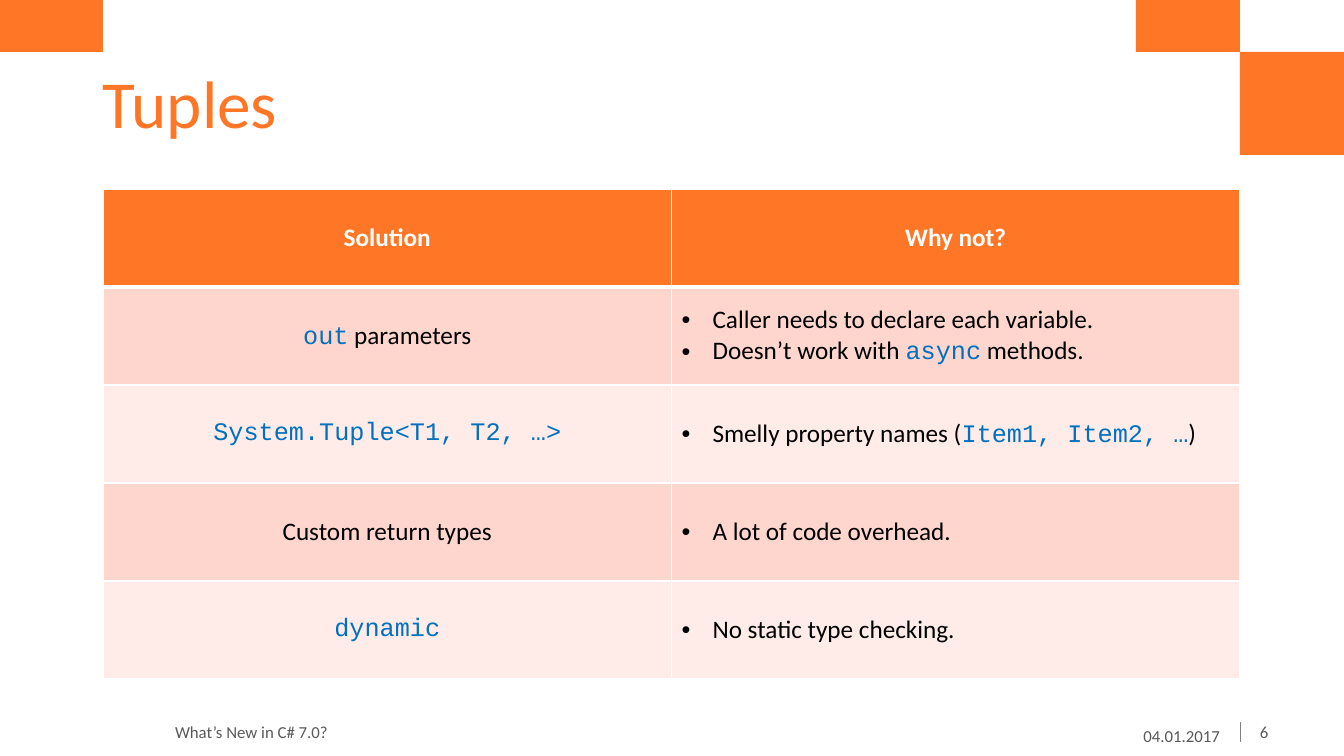
import pptx
import pptx.util
import pptx.dml.color
import pptx.enum.shapes
import pptx.enum.text
import pptx.oxml
import pptx.oxml.ns
import lxml.etree

EMU_PER_PX = 914400 / 100.8
ORANGE = pptx.dml.color.RGBColor(0xFF, 0x77, 0x26)
PEACH = pptx.dml.color.RGBColor(0xFF, 0xD6, 0xCD)
PALE = pptx.dml.color.RGBColor(0xFF, 0xEC, 0xE8)
WHITE = pptx.dml.color.RGBColor(0xFF, 0xFF, 0xFF)
BLACK = pptx.dml.color.RGBColor(0, 0, 0)
BLUE = pptx.dml.color.RGBColor(0x00, 0x70, 0xC0)
GRAY = pptx.dml.color.RGBColor(0x59, 0x59, 0x59)
RULE_GRAY = pptx.dml.color.RGBColor(0x80, 0x80, 0x80)
TEXT_FONT = "Calibri"
CODE_FONT = "Courier New"
ALIGN = pptx.enum.text.PP_ALIGN
MIDDLE = pptx.enum.text.MSO_ANCHOR.MIDDLE

HEADER = ("Solution", "Why not?")
SOLUTIONS = (
    ("`out` parameters",
     ("Caller needs to declare each variable.", "Doesn’t work with `async` methods.")),
    ("`System.Tuple<T1, T2, …>`", ("Smelly property names (`Item1, Item2, …`)",)),
    ("Custom return types", ("A lot of code overhead.",)),
    ("`dynamic`", ("No static type checking.",)),
)


def px(length):
    return pptx.util.Emu(round(length * EMU_PER_PX))


def format_span(span, size, color, font=TEXT_FONT, bold=False):
    span.font.name = font
    span.font.size = pptx.util.Pt(size)
    span.font.bold = bold
    span.font.color.rgb = color


def set_frame(frame, left, top, right, bottom):
    frame.word_wrap = True
    frame.auto_size = pptx.enum.text.MSO_AUTO_SIZE.NONE
    frame.vertical_anchor = MIDDLE
    frame.margin_left, frame.margin_top = px(left), px(top)
    frame.margin_right, frame.margin_bottom = px(right), px(bottom)


def add_block(page, left, top, width, height):
    block = page.shapes.add_shape(pptx.enum.shapes.MSO_SHAPE.RECTANGLE,
                                  px(left), px(top), px(width), px(height))
    block.shadow.inherit = False
    block.fill.solid()
    block.fill.fore_color.rgb = ORANGE
    block.line.fill.background()


def add_rule(page, x, top, bottom):
    rule = page.shapes.add_connector(pptx.enum.shapes.MSO_CONNECTOR.STRAIGHT,
                                     px(x), px(top), px(x), px(bottom))
    rule.line.color.rgb = RULE_GRAY
    rule.line.width = pptx.util.Pt(0.5)
    lxml.etree.SubElement(rule.element.spPr, pptx.oxml.ns.qn("a:effectLst"))


def add_title(page, text):
    title = page.shapes.title
    title.left, title.top, title.width, title.height = px(103), px(52), px(1033), px(103)
    set_frame(title.text_frame, 0, 12, 39, 5)
    title.text_frame.text = text
    para = title.text_frame.paragraphs[0]
    para.alignment = ALIGN.LEFT
    para.line_spacing = 0.9
    format_span(para.runs[0], 48, ORANGE)


def add_footer(page, text, left, top, width, align=ALIGN.LEFT):
    box = page.shapes.add_textbox(px(left), px(top), px(width), px(48))
    right_aligned = align == ALIGN.RIGHT
    set_frame(box.text_frame, 10 if right_aligned else 20, 5, 20 if right_aligned else 10, 5)
    box.text_frame.text = text
    para = box.text_frame.paragraphs[0]
    para.alignment = align
    format_span(para.runs[0], 12, GRAY)


def write_line(para, text, color=BLACK, bold=False):
    for index, part in enumerate(text.split("`")):
        if part:
            span = para.add_run()
            span.text = part
            if index % 2:
                format_span(span, 18, BLUE, CODE_FONT)
            else:
                format_span(span, 18, color, TEXT_FONT, bold)


def add_bullet(para):
    properties = para._p.get_or_add_pPr()
    properties.set("marL", str(px(31)))
    properties.set("indent", str(-px(31)))
    font = lxml.etree.SubElement(properties, pptx.oxml.ns.qn("a:buFont"))
    font.set("typeface", "Arial")
    mark = lxml.etree.SubElement(properties, pptx.oxml.ns.qn("a:buChar"))
    mark.set("char", "•")


def style_cell(cell, fill, top_width, bottom_width):
    cell.vertical_anchor = MIDDLE
    cell.fill.solid()
    cell.fill.fore_color.rgb = fill
    properties = cell._tc.get_or_add_tcPr()
    widths = {"lnL": 1, "lnR": 1, "lnT": top_width, "lnB": bottom_width}
    for index, (side, width) in enumerate(widths.items()):
        border = pptx.oxml.parse_xml(
            f'<a:{side} {pptx.oxml.ns.nsdecls("a")} w="{pptx.util.Pt(width)}">'
            f'<a:solidFill><a:srgbClr val="{WHITE}"/></a:solidFill></a:{side}>')
        properties.insert(index, border)


def fill_centered(cell, text, color=BLACK, bold=False):
    para = cell.text_frame.paragraphs[0]
    para.alignment = ALIGN.CENTER
    write_line(para, text, color, bold)


def fill_bullets(cell, lines):
    frame = cell.text_frame
    for index, line in enumerate(lines):
        para = frame.add_paragraph() if index else frame.paragraphs[0]
        add_bullet(para)
        write_line(para, line)


def add_solutions_table(page):
    row_count = len(SOLUTIONS) + 1
    table = page.shapes.add_table(row_count, 2, px(103), px(189),
                                  px(1137), px(98 * row_count)).table
    for row in table.rows:
        row.height = px(98)
    for column, heading in enumerate(HEADER):
        cell = table.cell(0, column)
        style_cell(cell, ORANGE, 1, 3)
        fill_centered(cell, heading, WHITE, True)
    for row, (solution, reasons) in enumerate(SOLUTIONS, 1):
        for column in range(2):
            style_cell(table.cell(row, column), PEACH if row % 2 else PALE,
                       3 if row == 1 else 1, 1)
        fill_centered(table.cell(row, 0), solution)
        fill_bullets(table.cell(row, 1), reasons)


def main():
    deck = pptx.Presentation()
    deck.slide_width, deck.slide_height = px(1344), px(756)
    page = deck.slides.add_slide(deck.slide_layouts[5])
    add_rule(page, 1240, 722, 742)
    add_block(page, 1240, 52, 104, 103)
    add_block(page, 1136, 0, 104, 52)
    add_block(page, 0, 0, 103, 52)
    add_title(page, "Tuples")
    add_footer(page, "What’s New in C# 7.0?", 155, 708, 775)
    add_footer(page, "04.01.2017", 1033, 712, 207, ALIGN.RIGHT)
    add_footer(page, "6", 1240, 708, 104)
    add_solutions_table(page)
    deck.save("out.pptx")


if __name__ == "__main__":
    main()
